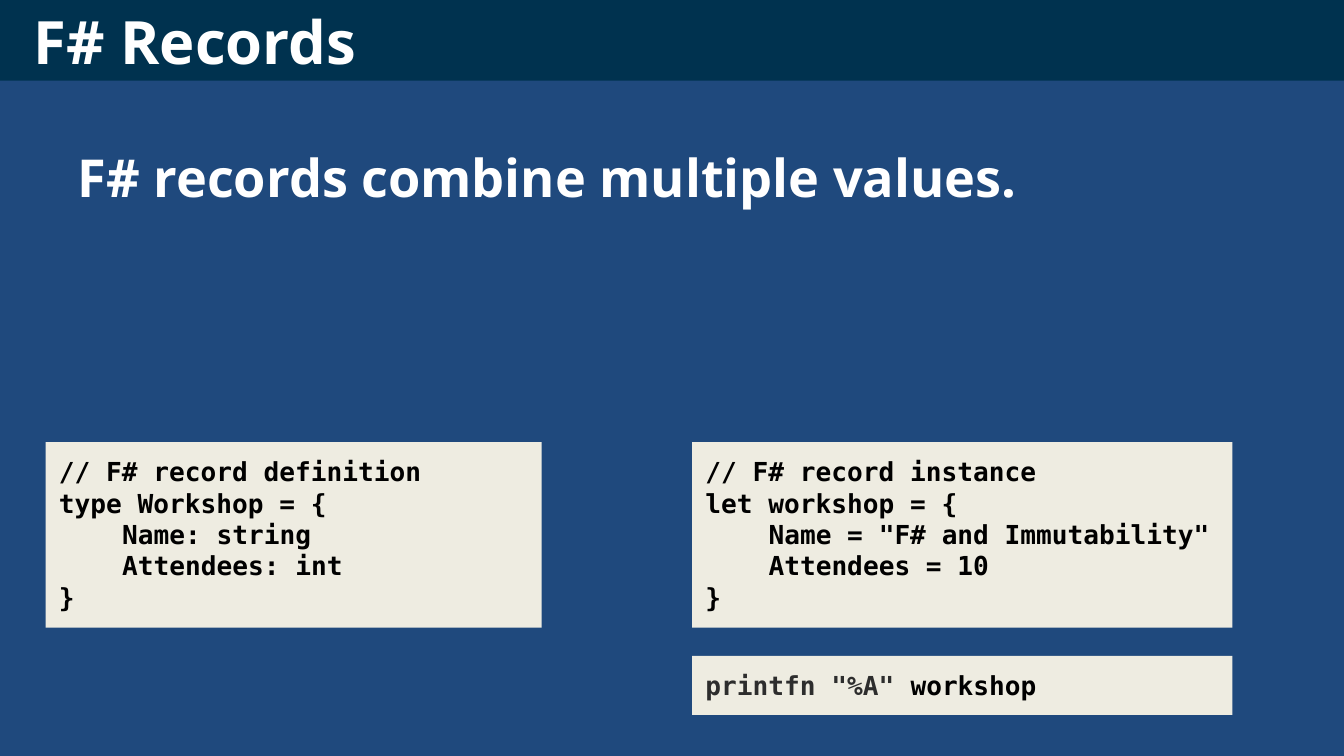
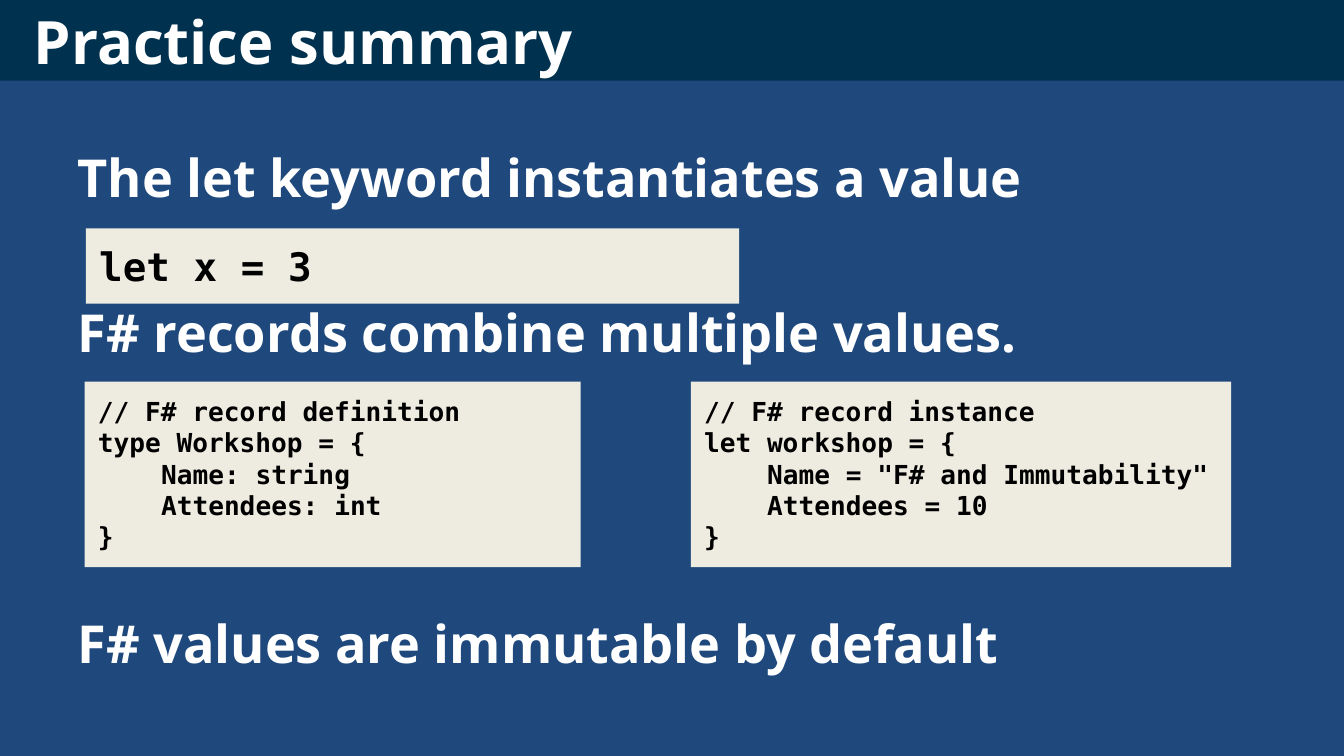
"""Builds two slides on F# records with python-pptx."""
import pptx
import pptx.dml.color
import pptx.enum.shapes
import pptx.enum.text
import pptx.util

Inches = pptx.util.Inches
Pt = pptx.util.Pt
RGB = pptx.dml.color.RGBColor.from_string

THEME = {
    "back": RGB("1F497D"),
    "band": RGB("00324F"),
    "panel": RGB("EEECE1"),
    "muted": RGB("2D2D2D"),
    "title": {"name": "Open Sans", "size": Pt(32), "bold": True, "color": RGB("FFFFFF")},
    "body": {"name": "Open Sans", "size": Pt(28), "bold": True, "color": RGB("FFFFFF")},
    "code": {"name": "DejaVu Sans Mono", "size": Pt(14), "bold": True, "color": RGB("000000")},
    "frame": {
        "word_wrap": True,
        "auto_size": pptx.enum.text.MSO_AUTO_SIZE.NONE,
        "margin_left": Inches(0.1),
        "margin_right": Inches(0.1),
        "margin_top": Inches(0.1),
        "margin_bottom": Inches(0.1),
    },
}
INDENT = Inches(0.47)
RECT = pptx.enum.shapes.MSO_SHAPE.RECTANGLE

DEFINITION = ["// F# record definition", "type Workshop = {",
              "\tName: string", "\tAttendees: int", "}"]
INSTANCE = ["// F# record instance", "let workshop = {",
            '\tName = "F# and Immutability"', "\tAttendees = 10", "}"]

SLIDES = [
    {
        "title": "F# Records",
        "body": [("F# records combine multiple values.", 6)],
        "code": [
            ((0.34, 3.29, 3.69, 1.38), 14, DEFINITION),
            ((5.15, 3.29, 4.02, 1.38), 14, INSTANCE),
            ((5.15, 4.88, 4.02, 0.44), 14, [('printfn "%A" ', "workshop")]),
        ],
    },
    {
        "title": "Practice summary",
        "body": [("The let keyword instantiates a value", 6),
                 ("F# records combine multiple values.", 49.5),
                 ("F# values are immutable by default", 133)],
        "code": [
            ((0.64, 1.7, 4.86, 0.56), 21, ["let x = 3"]),
            ((0.63, 2.84, 3.69, 1.38), 14, DEFINITION),
            ((5.14, 2.84, 4.02, 1.38), 14, INSTANCE),
        ],
    },
]


def add_run(p, text, style, **changes):
    r = p.add_run()
    r.text = text
    for key, value in {**style, **changes}.items():
        if key == "color":
            r.font.color.rgb = value
        else:
            setattr(r.font, key, value)


def set_frame(sp, anchor):
    tf = sp.text_frame
    for key, value in {**THEME["frame"], "vertical_anchor": anchor}.items():
        setattr(tf, key, value)
    return tf


prs = pptx.Presentation()
prs.slide_width = Inches(10)
prs.slide_height = Inches(10 * 9 / 16)
fill = prs.slide_master.background.fill
fill.solid()
fill.fore_color.rgb = THEME["back"]

layout = prs.slide_layouts[5]
slides = [prs.slides.add_slide(layout) for _ in SLIDES]
band = slides[0].shapes.add_shape(RECT, 0, 0, prs.slide_width, Inches(0.6))
band.shadow.inherit = False
band.fill.solid()
band.fill.fore_color.rgb = THEME["band"]
band.line.fill.background()
layout.shapes._spTree.insert(2, band._element)

for s, content in zip(slides, SLIDES):
    sp = s.shapes.title
    sp.left, sp.top, sp.width, sp.height = map(Inches, (0.15, 0.08, 9.77, 0.45))
    p = set_frame(sp, pptx.enum.text.MSO_ANCHOR.MIDDLE).paragraphs[0]
    p.alignment = pptx.enum.text.PP_ALIGN.LEFT
    add_run(p, content["title"], THEME["title"])

    sp = s.shapes.add_textbox(*map(Inches, (0.48, 0.98, 9.11, 4.34)))
    tf = set_frame(sp, pptx.enum.text.MSO_ANCHOR.TOP)
    for i, (text, gap) in enumerate(content["body"]):
        p = tf.add_paragraph() if i else tf.paragraphs[0]
        p.space_before = Pt(gap)
        add_run(p, text, THEME["body"])

    for box, size, lines in content["code"]:
        sp = s.shapes.add_shape(RECT, *map(Inches, box))
        sp.shadow.inherit = False
        sp.fill.solid()
        sp.fill.fore_color.rgb = THEME["panel"]
        sp.line.fill.background()
        tf = set_frame(sp, pptx.enum.text.MSO_ANCHOR.TOP)
        for i, line in enumerate(lines):
            p = tf.add_paragraph() if i else tf.paragraphs[0]
            p.alignment = pptx.enum.text.PP_ALIGN.LEFT
            if isinstance(line, tuple):
                call, value = line
                add_run(p, call, THEME["code"], color=THEME["muted"])
                add_run(p, value, THEME["code"])
                continue
            if line.startswith("\t"):
                p._p.get_or_add_pPr().set("marL", str(INDENT))
            add_run(p, line.lstrip("\t"), THEME["code"], size=Pt(size))

prs.save("out.pptx")
